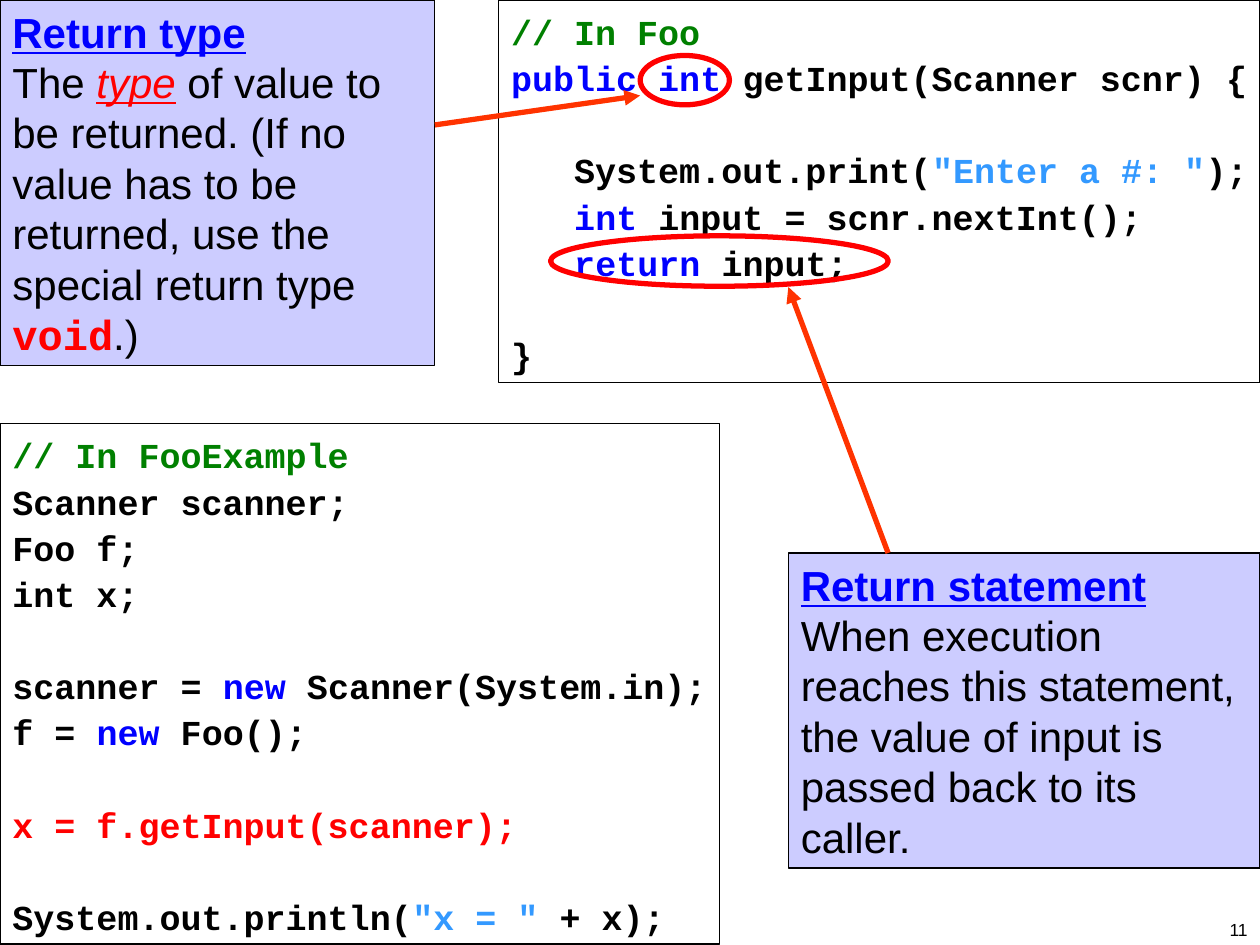
from dataclasses import dataclass

from lxml.etree import SubElement
from pptx import Presentation
from pptx.dml.color import RGBColor
from pptx.enum.shapes import MSO_CONNECTOR, MSO_SHAPE
from pptx.enum.text import MSO_ANCHOR, PP_ALIGN
from pptx.oxml.ns import qn
from pptx.util import Pt


@dataclass(frozen=True)
class Theme:
    """Colours, fonts and type sizes of the slide."""
    black: str = "000000"
    white: str = "FFFFFF"
    lilac: str = "CCCCFF"
    blue: str = "0000FF"
    green: str = "008000"
    sky: str = "3399FF"
    red: str = "FF0000"
    arrow: str = "FF3300"
    sans: str = "Arial"
    mono: str = "Courier New"
    note: int = 24
    code: int = 20
    page: int = 10
    lead: float = 1.1
    gap: float = 26.4
    thin: float = 0.75
    thick: float = 3


T = Theme()
NOTE = {"name": T.sans, "size": Pt(T.note), "color": T.black}
HEAD = NOTE | {"color": T.blue, "bold": True, "underline": True}
TERM = NOTE | {"color": T.red, "italic": True, "underline": True}
VOID = NOTE | {"name": T.mono, "color": T.red, "bold": True}
CODE = {"name": T.mono, "size": Pt(T.code), "color": T.black, "bold": True}
KEY = CODE | {"color": T.blue}
TEXT = CODE | {"color": T.sky}
REM = CODE | {"color": T.green}
CALL = CODE | {"color": T.red}
PAGE = {"name": T.sans, "size": Pt(T.page), "color": T.black}

FOO = [
    [("// In Foo", REM)],
    [("public int", KEY), (" getInput(Scanner scnr) {", CODE)],
    [],
    [("   System.out.print(", CODE), ('"Enter a #: "', TEXT), (");", CODE)],
    [("   ", CODE), ("int", KEY), (" input = scnr.nextInt();", CODE)],
    [("   ", CODE), ("return", KEY), (" input;", CODE)],
    [],
    [("}", CODE)],
]
MAIN = [
    [("// In FooExample", REM)],
    [("Scanner scanner;", CODE)],
    [("Foo f;", CODE)],
    [("int x;", CODE)],
    [],
    [("scanner = ", CODE), ("new", KEY), (" Scanner(System.in);", CODE)],
    [("f = ", CODE), ("new", KEY), (" Foo();", CODE)],
    [],
    [("x = f.getInput(scanner);", CALL)],
    [],
    [("System.out.println(", CODE), ('"x = "', TEXT), (" + x);", CODE)],
]
TYPE = [
    [("Return type", HEAD)],
    [("The ", NOTE), ("type", TERM),
     (" of value to be returned. (If no value has to be returned, "
      "use the special return type ", NOTE), ("void", VOID), (".)", NOTE)],
]
BACK = [
    [("Return statement", HEAD)],
    [("When execution reaches this statement, the value of input "
      "is passed back to its caller.", NOTE)],
]


def write(frame, lines, **form):
    """Write styled lines; an empty line becomes space before the next."""
    gap = 0
    fresh = True
    for line in lines:
        if not line:
            gap += T.gap
            continue
        para = frame.paragraphs[0] if fresh else frame.add_paragraph()
        fresh = False
        for key, value in ({"alignment": PP_ALIGN.LEFT, "space_before": Pt(gap)} | form).items():
            setattr(para, key, value)
        gap = 0
        for text, style in line:
            run = para.add_run()
            run.text = text
            for key, value in style.items():
                if key == "color":
                    run.font.color.rgb = RGBColor.from_string(value)
                else:
                    setattr(run.font, key, value)


def draw(slide, kind, box, fill, ink, width):
    """Add a preset shape with a plain fill and outline."""
    shape = slide.shapes.add_shape(kind, *map(Pt, box))
    shape.shadow.inherit = False
    if fill:
        shape.fill.solid()
        shape.fill.fore_color.rgb = RGBColor.from_string(fill)
    else:
        shape.fill.background()
    shape.line.color.rgb = RGBColor.from_string(ink)
    shape.line.width = Pt(width)
    return shape


def panel(slide, box, fill, lines, wrap, **form):
    """Add a framed panel of text that starts at its top left."""
    shape = draw(slide, MSO_SHAPE.RECTANGLE, box, fill, T.black, T.thin)
    frame = shape.text_frame
    frame.word_wrap = wrap
    frame.vertical_anchor = MSO_ANCHOR.TOP
    write(frame, lines, **form)


def note(slide, box, lines):
    """Add a lilac note."""
    panel(slide, box, T.lilac, lines, True)


def code(slide, box, lines, fill=None, rings=()):
    """Add a code listing and ring parts of it."""
    panel(slide, box, fill, lines, False, line_spacing=T.lead)
    left, top = box[:2]
    for x, y, wide, high in rings:
        draw(slide, MSO_SHAPE.OVAL, (left + x, top + y, wide, high), None, T.red, T.thick)


def arrow(slide, start, end):
    """Add an arrow from a note to the code it explains."""
    link = slide.shapes.add_connector(MSO_CONNECTOR.STRAIGHT, *map(Pt, (*start, *end)))
    link.line.color.rgb = RGBColor.from_string(T.arrow)
    link.line.width = Pt(T.thick)
    SubElement(link.line._get_or_add_ln(), qn("a:tailEnd"), type="triangle")
    SubElement(link._element.spPr, qn("a:effectLst"))


def number(slide, box, text):
    """Add the slide number at the bottom right of its box."""
    frame = slide.shapes.add_textbox(*map(Pt, box)).text_frame
    frame.word_wrap = True
    frame.vertical_anchor = MSO_ANCHOR.BOTTOM
    write(frame, [[(text, PAGE)]], alignment=PP_ALIGN.RIGHT)


def main():
    """Build the slide and save it."""
    deck = Presentation()
    deck.slide_width, deck.slide_height = Pt(720), Pt(540)
    slide = deck.slides.add_slide(deck.slide_layouts[6])
    note(slide, (0, 0, 248.5, 208.8), TYPE)
    code(slide, (0, 242, 411, 297.5), MAIN)
    code(slide, (285, 0, 435, 218.6), FOO, T.white,
         [(80.8, 31.7, 51, 28.2), (29.6, 134.8, 193, 28.8)])
    note(slide, (450.5, 316, 269.5, 180), BACK)
    arrow(slide, (248.5, 71.4), (365.8, 54.6))
    arrow(slide, (507.5, 316), (450.5, 164))
    number(slide, (552, 504.5, 168, 36), "11")
    deck.save("out.pptx")


if __name__ == "__main__":
    main()
